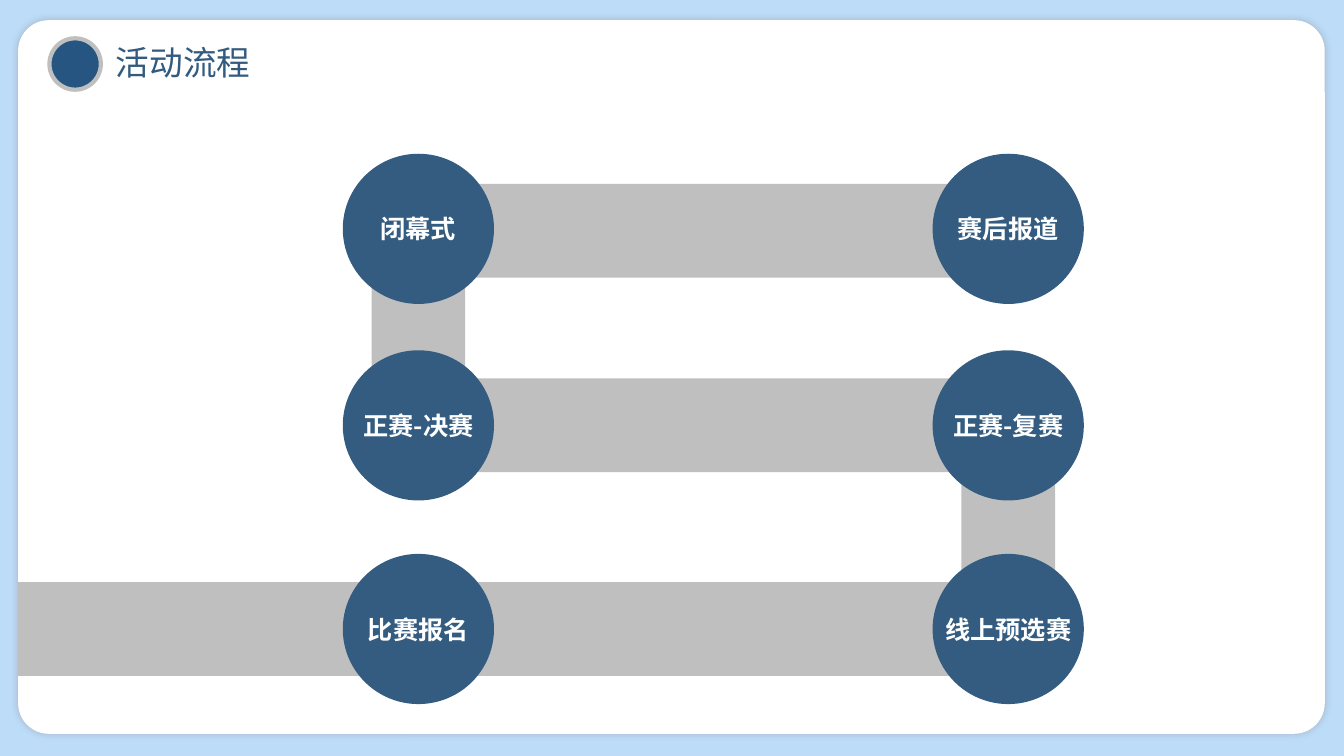
import pptx
import pptx.util
import pptx.dml.color
import pptx.enum.shapes
import pptx.enum.text
import pptx.oxml
import pptx.oxml.ns

Inches = pptx.util.Inches
Pt = pptx.util.Pt
RGBColor = pptx.dml.color.RGBColor
SHAPES = pptx.enum.shapes.MSO_SHAPE
ALIGN = pptx.enum.text.PP_ALIGN
ANCHOR = pptx.enum.text.MSO_ANCHOR
AUTO_SIZE = pptx.enum.text.MSO_AUTO_SIZE

SKY = RGBColor(0xBD, 0xDC, 0xF8)
WHITE = RGBColor(0xFF, 0xFF, 0xFF)
GREY = RGBColor(0xBF, 0xBF, 0xBF)
TITLE_BLUE = RGBColor(0x32, 0x5B, 0x7F)
BADGE_BLUE = RGBColor(0x25, 0x55, 0x80)
STEP_BLUE = RGBColor(0x33, 0x5C, 0x80)
FONT = "Noto Sans CJK SC"

PANEL_SHADOW = (
    '<a:effectLst xmlns:a="http://schemas.openxmlformats.org/drawingml/2006/main">'
    '<a:outerShdw blurRad="63500" dist="0" dir="0" algn="ctr" rotWithShape="0">'
    '<a:srgbClr val="808080"><a:alpha val="40000"/></a:srgbClr>'
    '</a:outerShdw></a:effectLst>'
)

# Centres of the two columns and three rows of steps, in inches
COLUMNS = (4.15, 10.0)
ROWS = (2.27, 4.22, 6.24)
STEP_NAMES = (
    ("闭幕式", "赛后报道"),
    ("正赛-决赛", "正赛-复赛"),
    ("比赛报名", "线上预选赛"),
)
STEP_WIDTH, STEP_HEIGHT = 1.5, 1.49
TRACK = 0.93


def add_plain(page, kind, box, color):
    """Add a filled shape without line or shadow; box is in inches."""
    shape = page.shapes.add_shape(kind, *map(Inches, box))
    shape.shadow.inherit = False
    shape.fill.solid()
    shape.fill.fore_color.rgb = color
    shape.line.fill.background()
    return shape


def write(shape, words, size, color, bold, align, anchor):
    frame = shape.text_frame
    frame.text = words
    frame.vertical_anchor = anchor
    para = frame.paragraphs[0]
    para.alignment = align
    font = para.font
    font.size, font.bold, font.name = Pt(size), bold, FONT
    font.color.rgb = color
    # East Asian typeface for the Chinese text
    properties = para._p.pPr.find(pptx.oxml.ns.qn("a:defRPr"))
    latin = properties.find(pptx.oxml.ns.qn("a:latin"))
    east_asian = pptx.oxml.parse_xml(
        '<a:ea xmlns:a="http://schemas.openxmlformats.org/drawingml/2006/main" '
        f'typeface="{FONT}"/>'
    )
    latin.addnext(east_asian)


def draw_panel(page, box):
    page.background.fill.solid()
    page.background.fill.fore_color.rgb = SKY
    panel = add_plain(page, SHAPES.ROUNDED_RECTANGLE, box, WHITE)
    panel.adjustments[0] = 0.043
    properties = panel.element.spPr
    properties.remove(properties.find(pptx.oxml.ns.qn("a:effectLst")))
    properties.append(pptx.oxml.parse_xml(PANEL_SHADOW))
    # Keep the panel behind the title
    page.shapes.title.element.addprevious(panel.element)


def draw_heading(page, box, words):
    left, top, width, height = box
    # Round badge
    badge = add_plain(page, SHAPES.OVAL, (left, top + 0.03, 0.51, 0.51), BADGE_BLUE)
    badge.line.color.rgb = GREY
    badge.line.width = Pt(3)
    # Title
    title = page.shapes.title
    title.left, title.top = Inches(left + 0.53), Inches(top)
    title.width, title.height = Inches(width - 0.53), Inches(height)
    frame = title.text_frame
    frame.margin_left = frame.margin_right = Inches(0.13)
    frame.margin_top = frame.margin_bottom = Inches(0.07)
    frame.auto_size = AUTO_SIZE.NONE
    write(title, words, 24, TITLE_BLUE, False, ALIGN.LEFT, ANCHOR.TOP)


def draw_tracks(page, left_edge):
    # Horizontal tracks; the last one enters from the panel's edge
    right = COLUMNS[1] + 0.44
    for start, middle in zip((COLUMNS[0], COLUMNS[0], left_edge), ROWS):
        # Tracks sit slightly below the circle centres in the first row
        top = middle - TRACK / 2 + (0.02 if middle == ROWS[0] else 0)
        add_plain(page, SHAPES.RECTANGLE, (start, top, right - start, TRACK), GREY)
    # Vertical tracks join neighbouring rows
    for column, top, bottom in zip(COLUMNS, ROWS, ROWS[1:]):
        add_plain(page, SHAPES.RECTANGLE,
                  (column - TRACK / 2, top, TRACK, bottom - top), GREY)


def draw_steps(page):
    for middle, names in zip(ROWS, STEP_NAMES):
        for column, name in zip(COLUMNS, names):
            box = (column - STEP_WIDTH / 2, middle - STEP_HEIGHT / 2,
                   STEP_WIDTH, STEP_HEIGHT)
            step = add_plain(page, SHAPES.OVAL, box, STEP_BLUE)
            step.text_frame.word_wrap = False
            write(step, name, 18, WHITE, True, ALIGN.CENTER, ANCHOR.MIDDLE)


def main():
    deck = pptx.Presentation()
    deck.slide_width, deck.slide_height = Inches(13.33), Inches(7.5)
    page = deck.slides.add_slide(deck.slide_layouts[5])
    panel_box = (0.18, 0.2, 12.96, 7.08)
    draw_panel(page, panel_box)
    draw_heading(page, (0.49, 0.35, 4.98, 0.54), "活动流程")
    draw_tracks(page, panel_box[0])
    draw_steps(page)
    deck.save("out.pptx")


if __name__ == "__main__":
    main()
